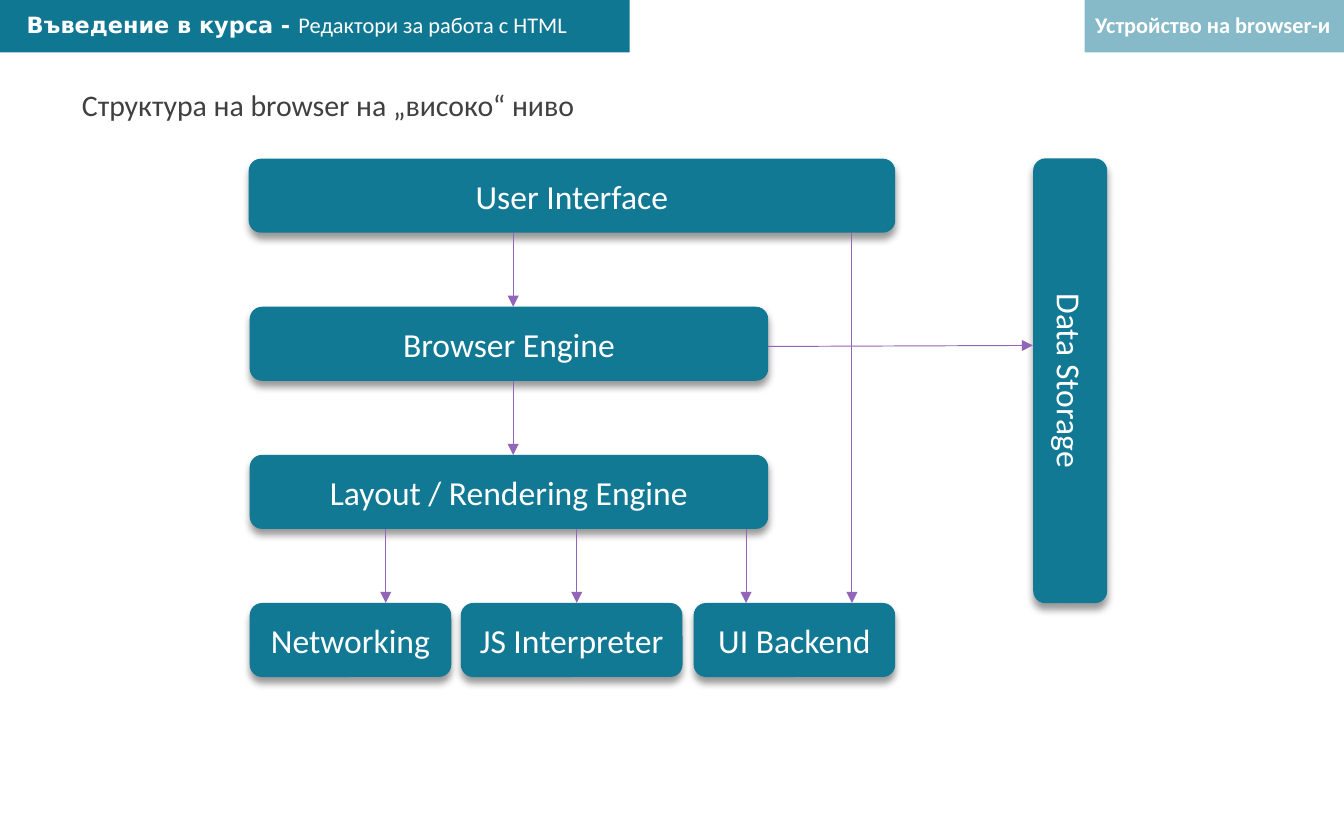
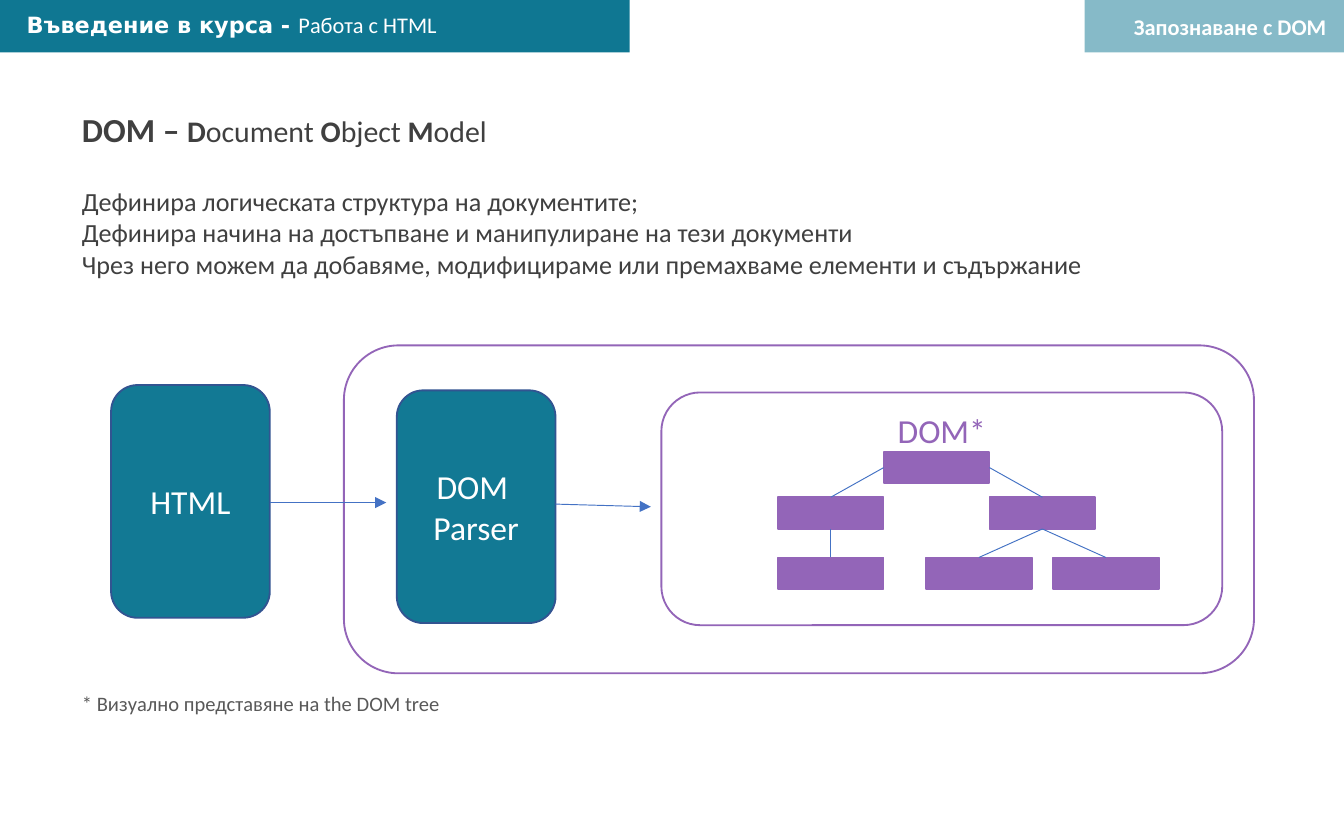
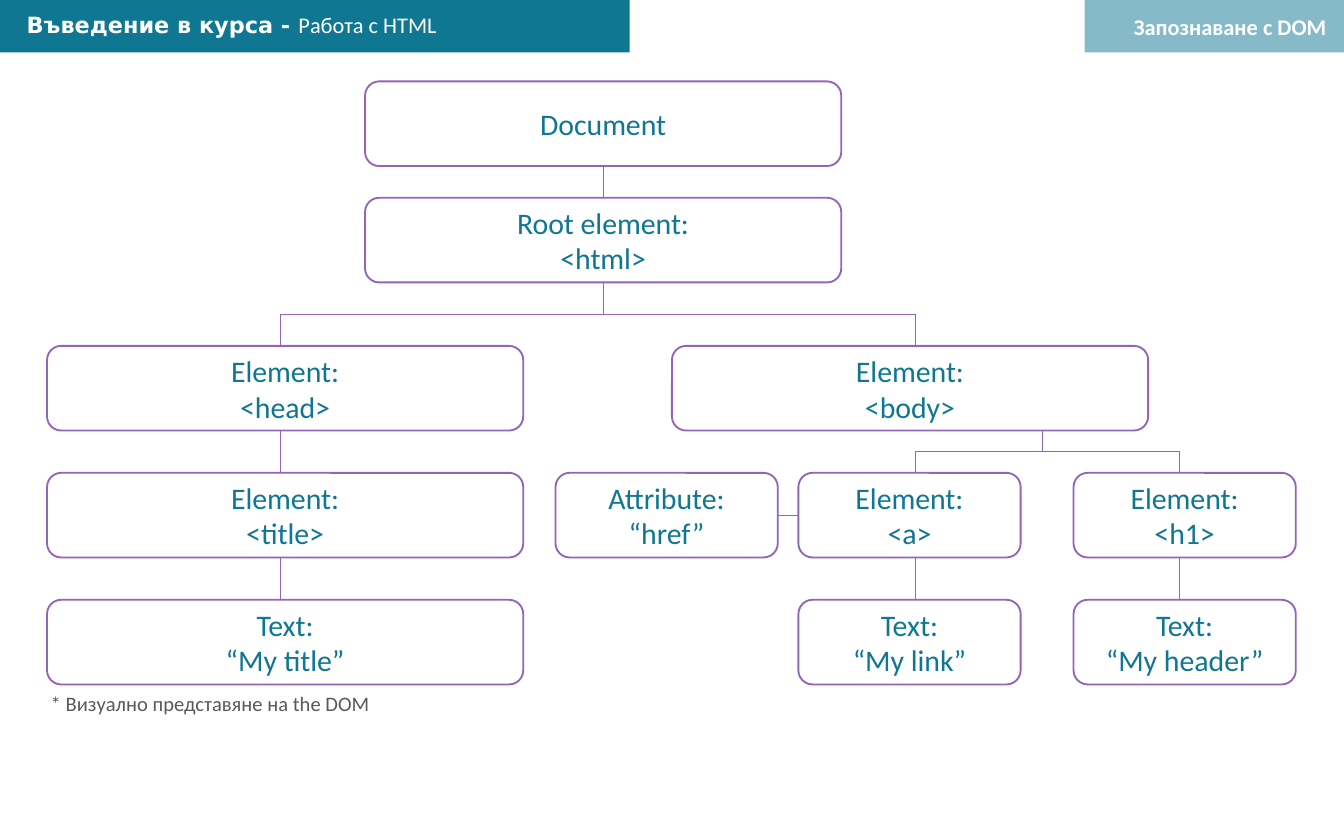
from pptx import Presentation
from pptx.dml.color import RGBColor
from pptx.enum.shapes import MSO_CONNECTOR, MSO_SHAPE
from pptx.enum.text import MSO_ANCHOR, MSO_AUTO_SIZE, PP_ALIGN
from pptx.oxml.ns import qn
from pptx.util import Cm, Pt
from lxml.etree import SubElement

BAND = RGBColor(0x0F, 0x77, 0x92)
TEAL = RGBColor(0x12, 0x79, 0x94)
NAVY = RGBColor(0x32, 0x54, 0x91)
BLUE = RGBColor(0x44, 0x72, 0xC4)
PURPLE = RGBColor(0x93, 0x65, 0xB8)
WHITE = RGBColor(0xFF, 0xFF, 0xFF)
DARK = RGBColor(0x40, 0x40, 0x40)
GREY = RGBColor(0x59, 0x59, 0x59)
FONT = "Calibri"
RECT, ROUND = MSO_SHAPE.RECTANGLE, MSO_SHAPE.ROUNDED_RECTANGLE


def add_box(s, kind, x, y, w, h, fill=None, line=None, text="", size=18,
            color=WHITE, anchor=MSO_ANCHOR.MIDDLE):
    sp = s.shapes.add_shape(kind, Cm(x), Cm(y), Cm(w), Cm(h))
    sp.shadow.inherit = False
    if fill is None:
        sp.fill.background()
    else:
        sp.fill.solid()
        sp.fill.fore_color.rgb = fill
    if line is None:
        sp.line.fill.background()
    else:
        sp.line.color.rgb = line
        sp.line.width = Pt(1)
    tf = sp.text_frame
    tf.word_wrap = True
    tf.vertical_anchor = anchor
    for i, row in enumerate(text.split("\n") if text else []):
        p = tf.add_paragraph() if i else tf.paragraphs[0]
        p.alignment = PP_ALIGN.CENTER
        r = p.add_run()
        r.text = row
        r.font.name, r.font.size, r.font.color.rgb = FONT, Pt(size), color
    return sp


def add_line(s, x1, y1, x2, y2, color=PURPLE, arrow=False):
    cxn = s.shapes.add_connector(MSO_CONNECTOR.STRAIGHT, Cm(x1), Cm(y1), Cm(x2), Cm(y2))
    cxn.line.color.rgb = color
    cxn.line.width = Pt(0.5)
    sp_pr = cxn.element.spPr
    if arrow:
        SubElement(sp_pr.find(qn("a:ln")), qn("a:tailEnd"), type="triangle")
    SubElement(sp_pr, qn("a:effectLst"))


prs = Presentation()
prs.slide_width, prs.slide_height = Cm(25.4), Cm(15.88)

# Header bands and titles
slides = []
for topic in ("Редактори за работа с HTML", "Работа с HTML", "Работа с HTML"):
    s = prs.slides.add_slide(prs.slide_layouts[5])
    corner = add_box(s, RECT, 20.5, 0, 4.9, 0.99, BAND)
    SubElement(corner.element.spPr.find(".//" + qn("a:srgbClr")), qn("a:alpha"), val="50000")
    add_box(s, RECT, 0, 0, 11.9, 0.99, BAND)
    title = s.shapes.title
    title.element.getparent().append(title.element)  # in front of the band
    title.left, title.top, title.width, title.height = Cm(0.25), Cm(0.08), Cm(11.46), Cm(0.77)
    tf = title.text_frame
    tf.auto_size, tf.word_wrap = MSO_AUTO_SIZE.NONE, True
    tf.vertical_anchor = MSO_ANCHOR.TOP
    p = tf.paragraphs[0]
    p.alignment = PP_ALIGN.LEFT
    for text, font, bold in (("Въведение в курса - ", "DejaVu Sans", True), (topic, FONT, False)):
        r = p.add_run()
        r.text = text
        r.font.name, r.font.size, r.font.bold = font, Pt(12), bold
        r.font.color.rgb = WHITE
    slides.append(s)
browser, dom, tree = slides

# Text boxes: each paragraph is (space before, size, runs), each run (text, bold)
dom_tag = [(0, 12, [("Запознаване с DOM", True)])]
dom_text = [
    (0, 16, [("DOM – ", True), ("D", True), ("ocument ", False), ("O", True),
             ("bject ", False), ("M", True), ("odel", False)]),
    (19.5, 14, [("Дефинира логическата структура на документите;", False)]),
    (0, 14, [("Дефинира начина на достъпване и манипулиране на тези документи", False)]),
    (0, 14, [("Чрез него можем да добавяме, модифицираме или премахваме елементи и съдържание",
              False)]),
]
for s, x, y, w, h, color, align, paras in (
    (browser, 19.79, 0.08, 5.61, 0.77, WHITE, PP_ALIGN.RIGHT,
     [(0, 12, [("Устройство на browser-и", True)])]),
    (browser, 1.3, 1.52, 23.4, 0.94, DARK, PP_ALIGN.LEFT,
     [(0, 16, [("Структура на browser на „високо“ ниво", False)])]),
    (dom, 19.71, 0.13, 5.61, 0.77, WHITE, PP_ALIGN.RIGHT, dom_tag),
    (dom, 1.3, 1.93, 23.01, 3.5, DARK, PP_ALIGN.LEFT, dom_text),
    (dom, 1.3, 12.93, 23.4, 0.73, GREY, PP_ALIGN.LEFT,
     [(0, 11, [("* Визуално представяне на the DOM tree", False)])]),
    (tree, 19.71, 0.13, 5.61, 0.77, WHITE, PP_ALIGN.RIGHT, dom_tag),
    (tree, 0.71, 12.93, 23.4, 0.73, GREY, PP_ALIGN.LEFT,
     [(0, 11, [("* Визуално представяне на the DOM", False)])]),
):
    tf = s.shapes.add_textbox(Cm(x), Cm(y), Cm(w), Cm(h)).text_frame
    tf.word_wrap = True
    for i, (before, size, runs) in enumerate(paras):
        p = tf.add_paragraph() if i else tf.paragraphs[0]
        p.alignment = align
        if before:
            p.space_before = Pt(before)
        for text, bold in runs:
            r = p.add_run()
            r.text = text
            r.font.name, r.font.bold = FONT, bold
            r.font.size = Pt(18 if text == "DOM – " else size)
            r.font.color.rgb = color

# Slide 1: browser components
box_h = 1.4
rows = [3 + 2.8 * i for i in range(4)]
for text, x, y, w in (
    ("User Interface", 4.7, rows[0], 12.22),
    ("Browser Engine", 4.72, rows[1], 9.8),
    ("Layout / Rendering Engine", 4.72, rows[2], 9.8),
    ("Networking", 4.72, rows[3], 3.81),
    ("JS Interpreter", 8.71, rows[3], 4.19),
    ("UI Backend", 13.11, rows[3], 3.81),
    ("Data Storage", 16.02, 6.5, 8.41),
):
    sp = add_box(browser, ROUND, x, y, w, box_h, TEAL, text=text)
    if text == "Data Storage":
        sp.rotation = 90
    shadow = SubElement(sp.element.spPr.find(qn("a:effectLst")), qn("a:outerShdw"),
                        blurRad="50800", dist="38100", dir="5400000", algn="t", rotWithShape="0")
    SubElement(SubElement(shadow, qn("a:srgbClr"), val="000000"), qn("a:alpha"), val="40000")

for x, start, end in ((9.7, 0, 1), (9.7, 1, 2), (7.29, 2, 3), (10.9, 2, 3),
                      (14.1, 2, 3), (16.1, 0, 3)):
    add_line(browser, x, rows[start] + box_h, x, rows[end], arrow=True)
add_line(browser, 14.51, 6.55, 19.52, 6.53, arrow=True)

# Slide 2: from HTML through the parser to the DOM
add_box(dom, ROUND, 2.1, 7.28, 3, 4.4, TEAL, NAVY, "HTML")
add_box(dom, ROUND, 7.5, 7.38, 3, 4.4, TEAL, NAVY, "DOM \nParser")
add_box(dom, ROUND, 12.5, 7.42, 10.6, 4.4, None, PURPLE, "DOM*", color=PURPLE,
        anchor=MSO_ANCHOR.TOP)
add_box(dom, ROUND, 6.5, 6.53, 17.2, 6.2, None, PURPLE)

node_w, node_h = 2, 0.6
root, left, right = (16.7, 8.54), (14.7, 9.4), (18.7, 9.4)
leaves = [(14.7, 10.54), (17.5, 10.54), (19.9, 10.54)]
for x, y in (root, left, right, *leaves):
    add_box(dom, RECT, x, y, node_w, node_h, PURPLE, PURPLE)
for (x, y), side in ((left, 0), (right, node_w)):
    add_line(dom, root[0] + side, root[1] + node_h / 2, x + node_w / 2, y, BLUE)
for parent, leaf in zip((left, right, right), leaves):
    add_line(dom, parent[0] + node_w / 2, parent[1] + node_h, leaf[0] + node_w / 2, leaf[1], BLUE)
add_line(dom, 5.1, 9.5, 7.3, 9.5, BLUE, True)
add_line(dom, 10.5, 9.53, 12.3, 9.58, BLUE, True)

# Slide 3: document tree, boxes given by centre and row
wide, narrow, el_h = 9, 4.2, 1.6
levels = [1.54, 3.74, 6.54, 8.94, 11.34]
doc_x, head_x, body_x, attr_x, link_x, h1_x = 11.4, 5.3, 17.2, 12.6, 17.3, 22.3
for text, x, level, w in (
    ("Document", doc_x, 0, wide),
    ("Root element:\n<html>", doc_x, 1, wide),
    ("Element:\n<head>", head_x + 0.09, 2, wide),
    ("Element:\n<body>", body_x, 2, wide),
    ("Element:\n<title>", head_x + 0.09, 3, wide),
    ("Text:\n“My title”", head_x + 0.09, 4, wide),
    ("Attribute:\n“href”", attr_x, 3, narrow),
    ("Element:\n<a>", link_x - 0.11, 3, narrow),
    ("Element:\n<h1>", h1_x + 0.09, 3, narrow),
    ("Text:\n“My link”", link_x - 0.11, 4, narrow),
    ("Text:\n“My header”", h1_x + 0.09, 4, narrow),
):
    add_box(tree, ROUND, x - w / 2, levels[level], w, el_h, None, PURPLE, text, 16, BAND)

html_fork, body_fork, body_out = 5.94, 8.54, 19.7
for x, top, bottom in (
    (doc_x, levels[0] + el_h, levels[1]),
    (doc_x, levels[1] + el_h, html_fork),
    (head_x, html_fork, levels[2]),
    (link_x, html_fork, levels[2]),
    (head_x, levels[2] + el_h, levels[3]),
    (body_out, levels[2] + el_h, body_fork),
    (link_x, body_fork, levels[3]),
    (h1_x, body_fork, levels[3]),
    (head_x, levels[3] + el_h, levels[4]),
    (link_x, levels[3] + el_h, levels[4]),
    (h1_x, levels[3] + el_h, levels[4]),
):
    add_line(tree, x, top, x, bottom)
for x1, x2, y in ((head_x, link_x, html_fork), (link_x, h1_x, body_fork),
                  (attr_x + narrow / 2, 15.09, levels[3] + el_h / 2)):
    add_line(tree, x1, y, x2, y)

prs.save("out.pptx")
